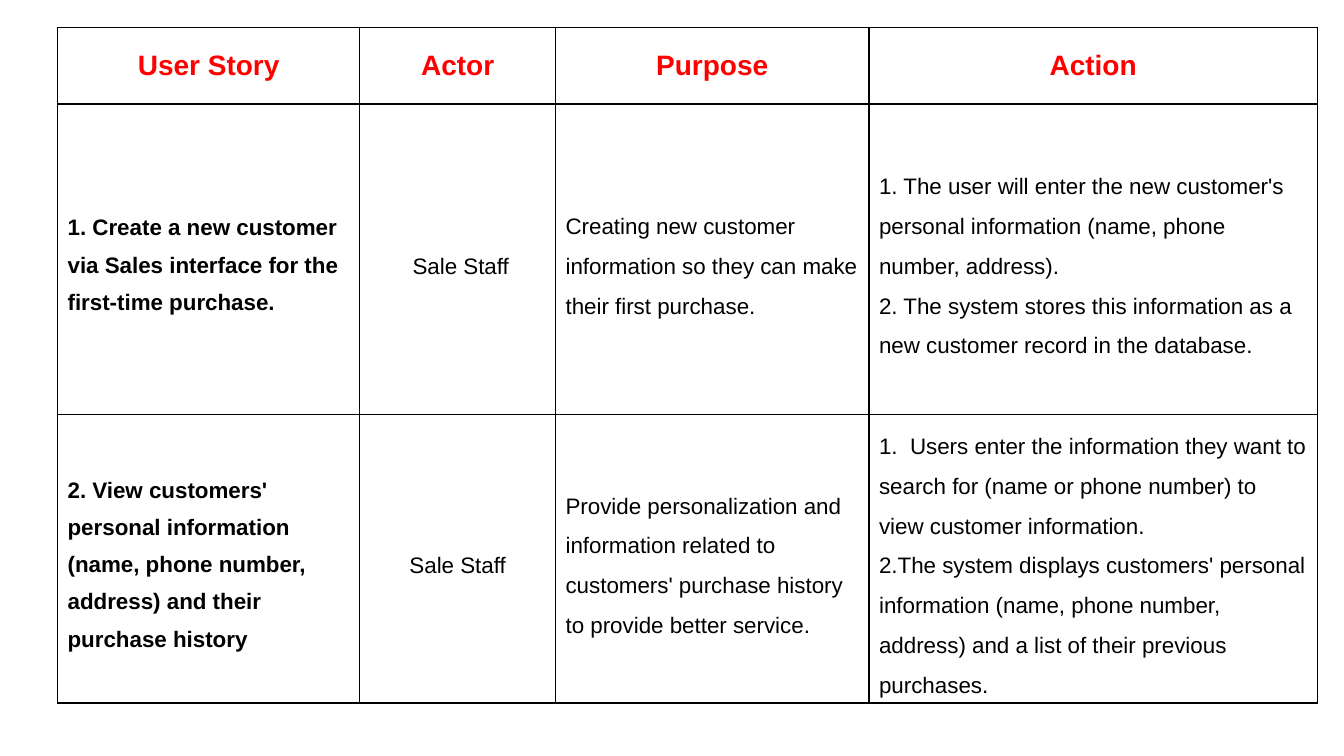
from lxml import etree
from pptx import Presentation
from pptx import util as u
from pptx.dml.color import RGBColor
from pptx.enum import text
from pptx.oxml.ns import qn

RED = RGBColor(0xFF, 0x00, 0x00)
BLACK = RGBColor(0x00, 0x00, 0x00)
WHITE = RGBColor(0xFF, 0xFF, 0xFF)

LEFT, CENTER = text.PP_ALIGN.LEFT, text.PP_ALIGN.CENTER
COLUMN_WIDTHS = [7.62, 4.93, 7.9, 11.3]
ROW_HEIGHTS = [1.93, 7.82, 6.58]

HEADER = ({"alignment": CENTER}, {"size": u.Pt(20), "bold": True}, RED)
STORY = ({"alignment": LEFT, "line_spacing": 1.5}, {"size": u.Pt(16), "bold": True}, BLACK)
ACTOR = ({"alignment": CENTER, "line_spacing": 1.6}, {"size": u.Pt(16), "bold": False}, BLACK)
DETAIL = ({"alignment": LEFT, "line_spacing": 1.6}, {"size": u.Pt(16), "bold": False}, BLACK)
BODY_STYLES = [STORY, ACTOR, DETAIL, DETAIL]

ROWS = [
    ["User Story", "Actor", "Purpose", "Action"],
    [
        "1. Create a new customer via Sales interface for the first-time purchase.",
        " Sale Staff",
        "Creating new customer information so they can make their first purchase.",
        "1. The user will enter the new customer's personal information "
        "(name, phone number, address).\n"
        "2. The system stores this information as a new customer record in the database.",
    ],
    [
        "2. View customers' personal information (name, phone number, address) "
        "and their purchase history",
        "Sale Staff",
        "Provide personalization and information related to customers' purchase "
        "history to provide better service.",
        "1.  Users enter the information they want to search for "
        "(name or phone number) to view customer information.\n"
        "2.The system displays customers' personal information "
        "(name, phone number, address) and a list of their previous purchases.",
    ],
]


def set_format(obj, values):
    """Set each attribute of obj from a dict of values."""
    for name, value in values.items():
        setattr(obj, name, value)


def add_borders(cell):
    """Draw a one-point black line on every side of a cell."""
    tcPr = cell._tc.get_or_add_tcPr()
    for i, side in enumerate(("a:lnL", "a:lnR", "a:lnT", "a:lnB")):
        ln = etree.Element(qn(side), w=str(u.Pt(1)))
        fill = etree.SubElement(ln, qn("a:solidFill"))
        etree.SubElement(fill, qn("a:srgbClr"), val=str(BLACK))
        tcPr.insert(i, ln)


def fill_cell(cell, content, style):
    """Write styled paragraphs into a white, bordered cell."""
    paragraph_format, font_format, color = style
    cell.fill.solid()
    cell.fill.fore_color.rgb = WHITE
    cell.vertical_anchor = text.MSO_ANCHOR.MIDDLE
    add_borders(cell)
    cell.text_frame.text = content
    for p in cell.text_frame.paragraphs:
        set_format(p, paragraph_format)
        for r in p.runs:
            set_format(r.font, {"name": "Arial", **font_format})
            r.font.color.rgb = color


def add_story_table(s, left, top, width, height):
    """Add the user story table, scaled to the given box in centimetres."""
    frame = s.shapes.add_table(len(ROWS), len(COLUMN_WIDTHS),
                               u.Cm(left), u.Cm(top), u.Cm(width), u.Cm(height))
    table = frame.table
    for column, share in zip(table.columns, COLUMN_WIDTHS):
        column.width = u.Cm(width * share / sum(COLUMN_WIDTHS))
    for row, share in zip(table.rows, ROW_HEIGHTS):
        row.height = u.Cm(height * share / sum(ROW_HEIGHTS))
    for i, contents in enumerate(ROWS):
        styles = BODY_STYLES if i else [HEADER] * len(contents)
        for j, (content, style) in enumerate(zip(contents, styles)):
            fill_cell(table.cell(i, j), content, style)


def main():
    """Build the slide and save it."""
    prs = Presentation()
    prs.slide_width, prs.slide_height = u.Cm(33.87), u.Cm(19.05)
    s = prs.slides.add_slide(prs.slide_layouts[6])
    add_story_table(s, 1.45, 0.69, 31.75, 16.33)
    prs.save("out.pptx")


if __name__ == "__main__":
    main()
